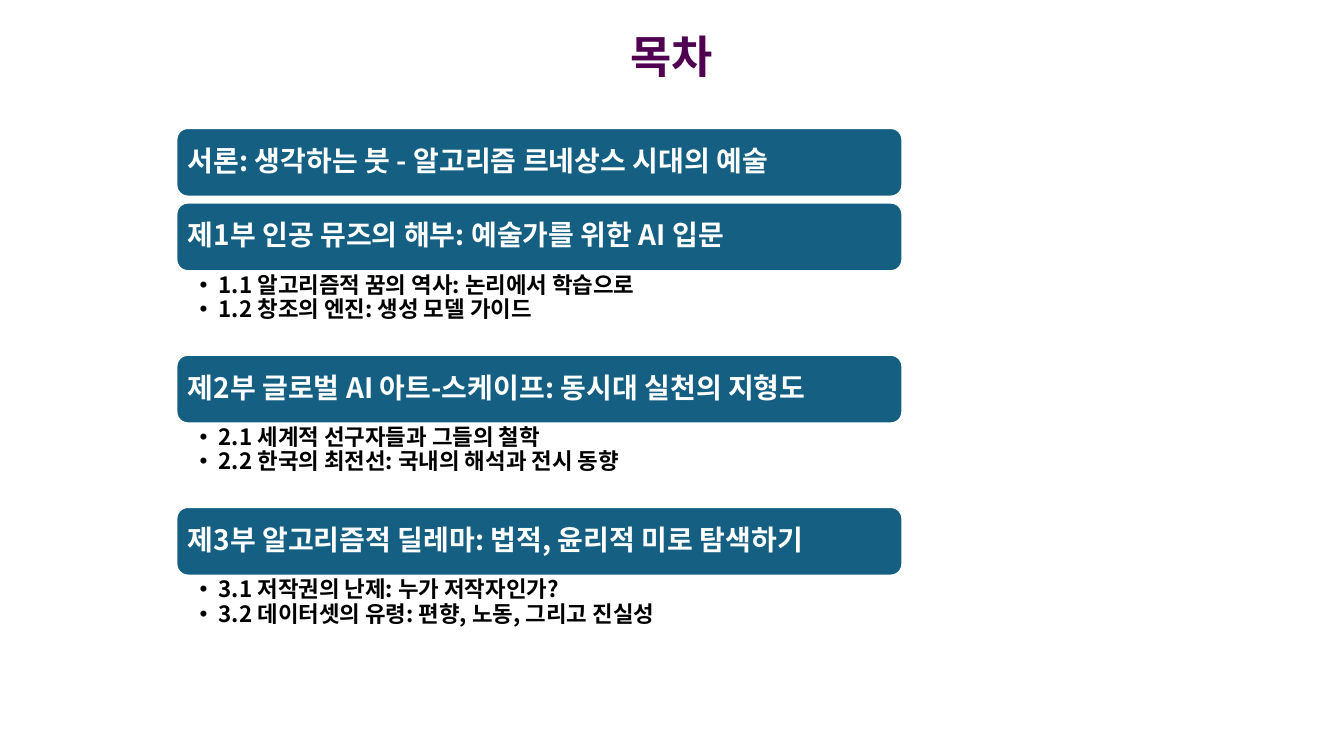
from dataclasses import dataclass

import pptx
import pptx.util
import pptx.dml.color
import pptx.enum.shapes
import pptx.enum.text
import pptx.oxml.ns
from lxml import etree

Inches, Pt = pptx.util.Inches, pptx.util.Pt
RGB = pptx.dml.color.RGBColor
Anchor = pptx.enum.text.MSO_ANCHOR
Align = pptx.enum.text.PP_ALIGN
qn = pptx.oxml.ns.qn


@dataclass(frozen=True)
class Theme:
    plum: RGB = RGB(0x50, 0x00, 0x50)
    teal: RGB = RGB(0x15, 0x60, 0x82)
    white: RGB = RGB(0xFF, 0xFF, 0xFF)
    black: RGB = RGB(0x00, 0x00, 0x00)
    head: str = "Roboto"
    body: str = "Noto Sans CJK KR"
    big: int = 32
    mid: int = 20
    small: int = 16


THEME = Theme()
BAR, GAP, LIST = 0.68, 0.06, 0.83

PARTS = [
    ("서론: 생각하는 붓 - 알고리즘 르네상스 시대의 예술", []),
    ("제1부 인공 뮤즈의 해부: 예술가를 위한 AI 입문",
     ["1.1 알고리즘적 꿈의 역사: 논리에서 학습으로",
      "1.2 창조의 엔진: 생성 모델 가이드"]),
    ("제2부 글로벌 AI 아트-스케이프: 동시대 실천의 지형도",
     ["2.1 세계적 선구자들과 그들의 철학",
      "2.2 한국의 최전선: 국내의 해석과 전시 동향"]),
    ("제3부 알고리즘적 딜레마: 법적, 윤리적 미로 탐색하기",
     ["3.1 저작권의 난제: 누가 저작자인가?",
      "3.2 데이터셋의 유령: 편향, 노동, 그리고 진실성"]),
]


def place(shape, left, top, width, height):
    shape.left, shape.top = Inches(left), Inches(top)
    shape.width, shape.height = Inches(width), Inches(height)


def pad(frame, left, top, right, bottom):
    frame.margin_left, frame.margin_top = Inches(left), Inches(top)
    frame.margin_right, frame.margin_bottom = Inches(right), Inches(bottom)


def style(para, face, size, color, align=Align.LEFT, lines=0.9):
    """Format a paragraph and its runs, with one face for Latin and Hangul."""
    para.alignment, para.line_spacing = align, lines
    para.space_before = para.space_after = Pt(0)
    for run in para.runs:
        font = run.font
        font.name, font.size, font.bold = face, Pt(size), True
        font.color.rgb = color
        latin = run._r.rPr.find(qn("a:latin"))
        east = etree.Element(qn("a:ea"), typeface=face)
        latin.addnext(east)


def add_bullet(para):
    props = para._p.get_or_add_pPr()
    props.set("marL", str(Inches(0.19)))
    props.set("indent", str(Inches(-0.19)))
    etree.SubElement(props, qn("a:buFont"), typeface="Arial")
    etree.SubElement(props, qn("a:buChar"), char="•")


def set_title(title, left, top, width, height):
    place(title, left, top, width, height)
    frame = title.text_frame
    frame.text = "목차"
    frame.auto_size = pptx.enum.text.MSO_AUTO_SIZE.NONE
    frame.vertical_anchor = Anchor.TOP
    style(frame.paragraphs[0], THEME.head, THEME.big, THEME.plum,
          Align.CENTER, 1.0)


def add_bar(slide, text, left, top, width):
    bar = slide.shapes.add_shape(
        pptx.enum.shapes.MSO_SHAPE.ROUNDED_RECTANGLE,
        Inches(left), Inches(top), Inches(width), Inches(BAR))
    bar.shadow.inherit = False
    bar.fill.solid()
    bar.fill.fore_color.rgb = THEME.teal
    bar.line.color.rgb = THEME.white
    bar.line.width = Pt(1.5)
    frame = bar.text_frame
    frame.text, frame.word_wrap = text, True
    frame.vertical_anchor = Anchor.MIDDLE
    pad(frame, 0.08, 0.08, 0.08, 0.08)
    style(frame.paragraphs[0], THEME.body, THEME.mid, THEME.white)


def set_list(holder, items, left, top, width):
    place(holder, left, top, width, LIST)
    frame = holder.text_frame
    frame.text = "\n".join(items)
    frame.auto_size = pptx.enum.text.MSO_AUTO_SIZE.NONE
    frame.vertical_anchor = Anchor.TOP
    pad(frame, 0.23, 0.03, 0.16, 0.03)
    for para in frame.paragraphs:
        add_bullet(para)
        para.level = 1
        style(para, THEME.body, THEME.small, THEME.black)


def add_parts(slide, left, top, width):
    """Stack the bars, each followed by its list or by a narrow gap."""
    bodies = [h for h in slide.placeholders if h.placeholder_format.idx in range(1, 5)]
    for text, items in PARTS:
        add_bar(slide, text, left, top, width)
        top += BAR
        if items:
            set_list(bodies.pop(0), items, left, top, width)
        top += LIST if items else GAP
    for spare in bodies:
        spare._element.getparent().remove(spare._element)


def main():
    deck = pptx.Presentation()
    deck.slide_width, deck.slide_height = Inches(13.33), Inches(7.5)
    slide = deck.slides.add_slide(deck.slide_layouts.get_by_name("Comparison"))
    set_title(slide.shapes.title, 3.33, 0.23, 6.67, 0.64)
    add_parts(slide, 1.75, 1.27, 7.2)
    deck.save("out.pptx")


if __name__ == "__main__":
    main()
